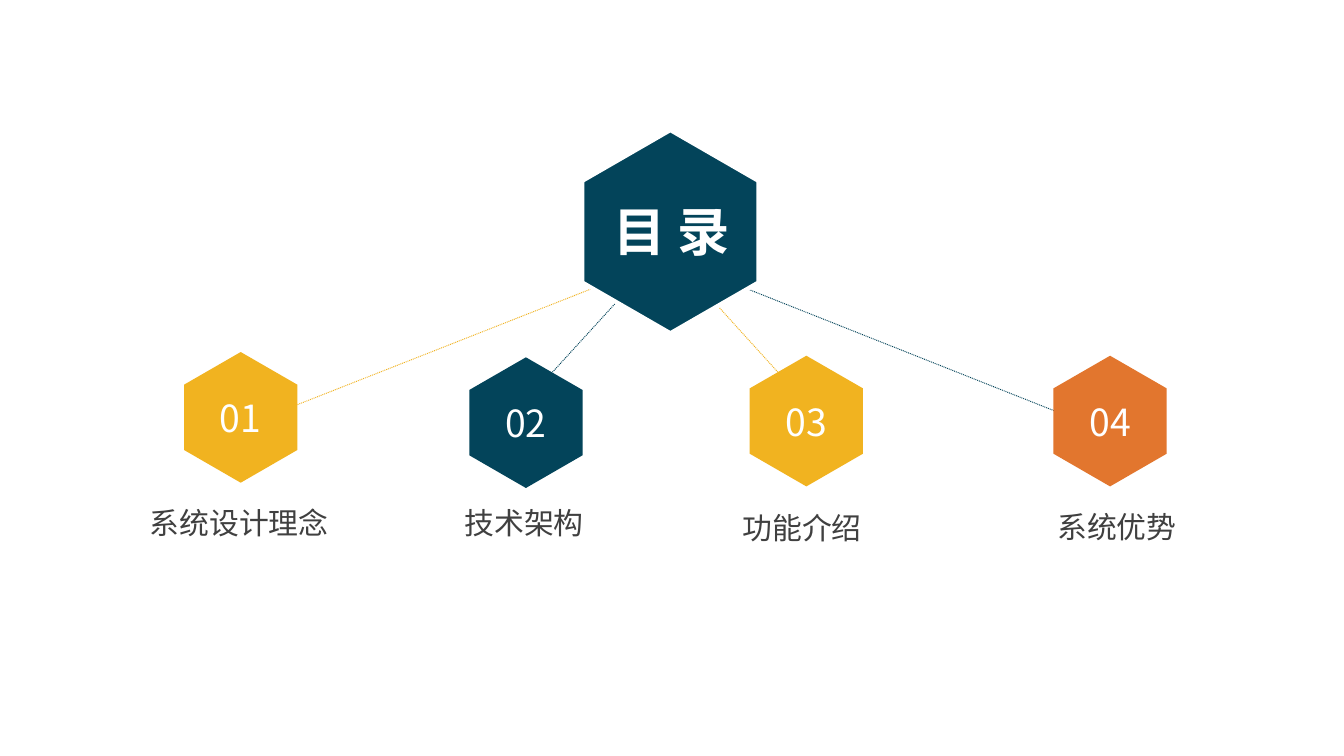
from dataclasses import dataclass

from lxml import etree
from pptx import Presentation
from pptx.dml.color import RGBColor
from pptx.enum import dml, shapes, text
from pptx.oxml import ns
from pptx.util import Cm, Pt


@dataclass(frozen=True)
class Theme:
    navy: str = "03445A"
    gold: str = "F1B320"
    orange: str = "E2762E"
    white: str = "FFFFFF"
    gray: str = "404040"
    font: str = "Noto Sans CJK SC"
    title_size: int = 28
    number_size: int = 20
    label_size: int = 16
    link_width: float = 0.5
    border_width: float = 2.25


theme = Theme()

TITLE = "目 录"
HUB_CENTER, HUB_SIZE = (12.67, 4.38), (3.33, 3.84)
TITLE_CENTER, TITLE_BOX_SIZE = (12.69, 4.36), (2.92, 1.45)
BADGE_SIZE = (2.14, 2.47)
LABEL_HEIGHT = 0.86

SECTIONS = [
    dict(label="系统设计理念", fill=theme.gold, center=(4.55, 7.89),
         label_center=(4.52, 9.88), label_width=4.22,
         link=((5.49, 7.7), (11.43, 5.36)), link_color=theme.gold),
    dict(label="技术架构", fill=theme.navy, center=(9.94, 7.99),
         label_center=(9.91, 9.88), label_width=3.51,
         link=((9.98, 7.54), (11.76, 5.59)), link_color=theme.navy),
    dict(label="功能介绍", fill=theme.gold, center=(15.24, 7.96),
         label_center=(15.16, 9.98), label_width=3.51,
         link=((15.16, 7.54), (13.39, 5.59)), link_color=theme.gold),
    dict(label="系统优势", fill=theme.orange, center=(20.98, 7.96),
         label_center=(21.11, 9.96), label_width=4.11,
         link=((20.19, 7.87), (13.87, 5.36)), link_color=theme.navy),
]


def rgb(color):
    return RGBColor.from_string(color)


def add_link(page, start, end, color):
    link = page.shapes.add_connector(
        shapes.MSO_CONNECTOR.STRAIGHT, *map(Cm, start + end))
    link.line.color.rgb = rgb(color)
    link.line.width = Pt(theme.link_width)
    link.line.dash_style = dml.MSO_LINE.ROUND_DOT
    etree.SubElement(link._element.spPr, ns.qn("a:effectLst"))


def add_hexagon(page, center, size, color):
    (x, y), (width, height) = center, size
    right, quarter, half = width / 2, height / 4, height / 2
    corners = [(0, half), (-right, quarter), (-right, -quarter),
               (0, -half), (right, -quarter), (right, quarter)]
    points = [(Cm(x + dx), Cm(y + dy)) for dx, dy in corners]
    builder = page.shapes.build_freeform(*points[0])
    builder.add_line_segments(points[1:], close=True)
    hexagon = builder.convert_to_shape()
    hexagon.shadow.inherit = False
    hexagon.fill.solid()
    hexagon.fill.fore_color.rgb = rgb(color)
    hexagon.line.fill.background()
    return hexagon


def write(box, words, size, color, bold=False):
    frame = box.text_frame
    frame.word_wrap = True
    frame.vertical_anchor = text.MSO_ANCHOR.MIDDLE
    frame.margin_left = frame.margin_right = Cm(0.18)
    frame.margin_top = frame.margin_bottom = Cm(0.1)
    para = frame.paragraphs[0]
    para.alignment = text.PP_ALIGN.CENTER
    span = para.add_run()
    span.text = words
    span.font.name = theme.font
    span.font.size = Pt(size)
    span.font.bold = bold
    span.font.color.rgb = rgb(color)
    east_asian = etree.SubElement(span.font._element, ns.qn("a:ea"))
    east_asian.set("typeface", theme.font)


def add_text(page, center, size, words, *style):
    (x, y), (width, height) = center, size
    box = page.shapes.add_textbox(
        Cm(x - width / 2), Cm(y - height / 2), Cm(width), Cm(height))
    write(box, words, *style)


def main():
    deck = Presentation()
    deck.slide_width, deck.slide_height = Cm(25.4), Cm(14.29)
    page = deck.slides.add_slide(deck.slide_layouts[6])

    for section in SECTIONS:
        add_link(page, *section["link"], section["link_color"])

    hub = add_hexagon(page, HUB_CENTER, HUB_SIZE, theme.navy)
    hub.line.color.rgb = rgb(theme.white)
    hub.line.width = Pt(theme.border_width)
    add_text(page, TITLE_CENTER, TITLE_BOX_SIZE, TITLE,
             theme.title_size, theme.white, True)

    for number, section in enumerate(SECTIONS, 1):
        badge = add_hexagon(page, section["center"], BADGE_SIZE, section["fill"])
        write(badge, f"{number:02}", theme.number_size, theme.white)
        add_text(page, section["label_center"],
                 (section["label_width"], LABEL_HEIGHT),
                 section["label"], theme.label_size, theme.gray)

    deck.save("out.pptx")


if __name__ == "__main__":
    main()
